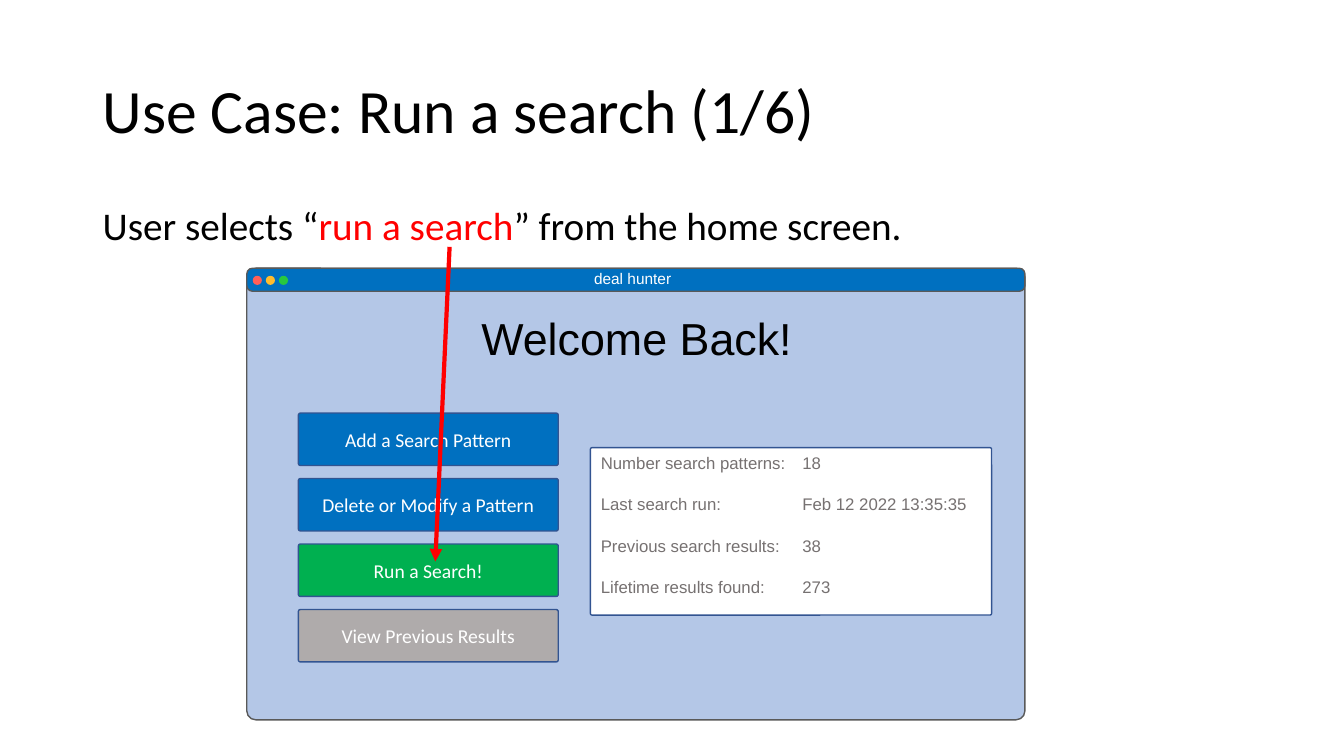
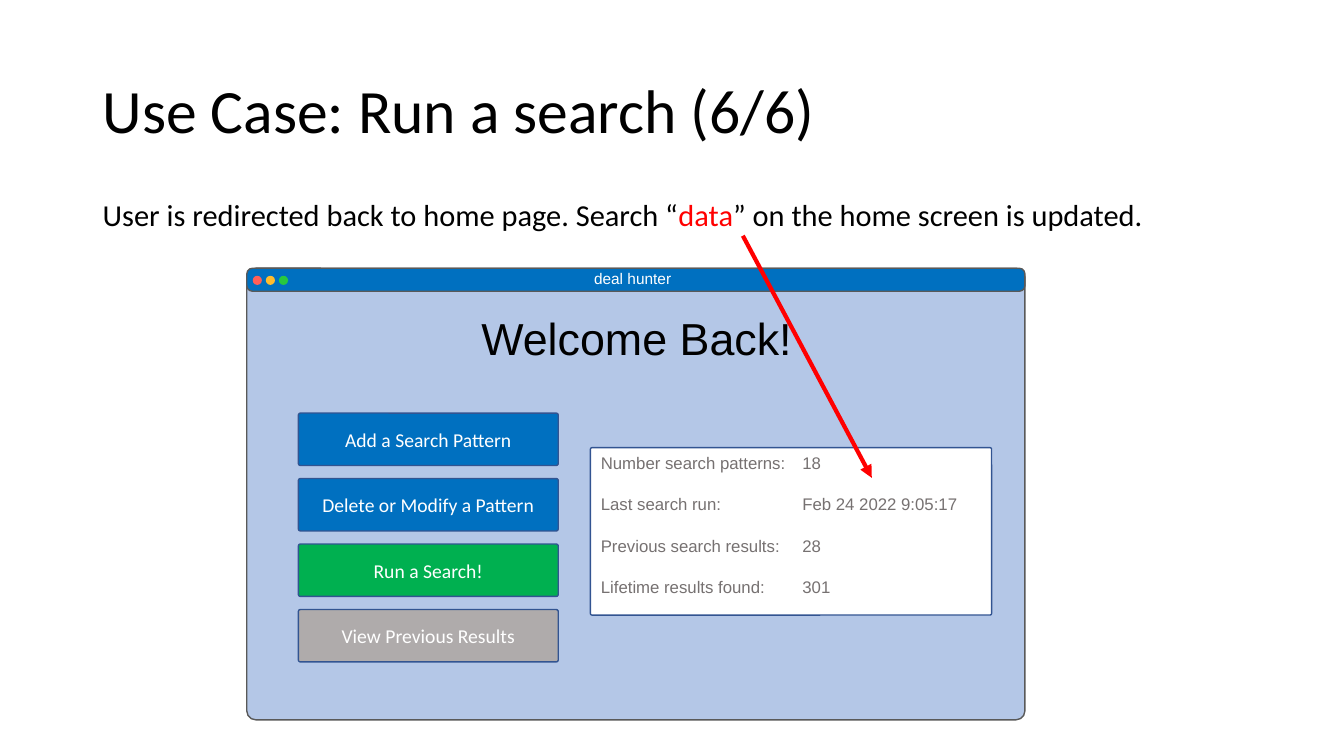
from lxml.etree import SubElement
from pptx import Presentation
from pptx.dml.color import RGBColor
from pptx.enum.shapes import MSO_CONNECTOR, MSO_SHAPE
from pptx.enum.text import MSO_ANCHOR, PP_ALIGN
from pptx.oxml.ns import qn
from pptx.util import Cm, Pt

COLORS = {
    "text": "000000", "white": "FFFFFF", "accent": "FF0000",
    "window": "B4C7E7", "frame": "595959", "blue": "0070C0",
    "green": "00B050", "disabled": "AFABAB", "edge": "325491",
    "stat": "767171", "close": "FF5F57", "minimize": "FFBC2E",
    "zoom": "28C840",
}
FONTS = {
    "title": {"name": "Calibri", "size": Pt(44)},
    "body": {"name": "Calibri", "size": Pt(28)},
    "body_small": {"name": "Calibri", "size": Pt(21.7)},
    "button": {"name": "Calibri", "size": Pt(14)},
    "caption": {"name": "Arial", "size": Pt(11)},
    "heading": {"name": "Arial", "size": Pt(32)},
    "stat": {"name": "Arial", "size": Pt(12)},
}
WINDOW_BOX = (6.22, 6.76, 19.61, 11.38)
BUTTONS = [
    ("Add a Search Pattern", "blue"),
    ("Delete or Modify a Pattern", "blue"),
    ("Run a Search!", "green"),
    ("View Previous Results", "disabled"),
]
STAT_LABELS = ["Number search patterns:", "Last search run:",
               "Previous search results:", "Lifetime results found:"]
SLIDES = [
    {"title": "Use Case: Run a search (1/6)",
     "body": [("User selects “", "text"), ("run a search", "accent"),
              ("” from the home screen.", "text")],
     "font": "body", "spacing": 0.9,
     "stats": ["18", "Feb 12 2022 13:35:35", "38", "273"],
     "arrow": (11.33, 6.22, 10.97, 14.15)},
    {"title": "Use Case: Run a search (6/6)",
     "body": [("User is redirected back to home page. Search “", "text"),
              ("data", "accent"),
              ("” on the home screen is updated.", "text")],
     "font": "body_small", "spacing": 0.7,
     "stats": ["18", "Feb 24 2022 9:05:17", "28", "301"],
     "arrow": (18.72, 5.94, 21.97, 12.04)},
]


def rgb(name):
    """Return the named palette colour."""
    return RGBColor.from_string(COLORS[name])


def apply(obj, formats):
    """Set each format value on an object."""
    for key, value in formats.items():
        setattr(obj, key, value)


def write(p, runs, font, **formats):
    """Fill a paragraph with (text, colour) runs in one font."""
    apply(p, formats)
    for text, color in runs:
        r = p.add_run()
        r.text = text
        apply(r.font, FONTS[font])
        r.font.color.rgb = rgb(color)


def add_box(shapes, kind, box, fill, line=None, radius=None):
    """Add a flat filled shape, outlined when a line colour is given."""
    sp = shapes.add_shape(kind, *map(Cm, box))
    sp.shadow.inherit = False
    sp.fill.solid()
    sp.fill.fore_color.rgb = rgb(fill)
    if line:
        sp.line.color.rgb = rgb(line)
        sp.line.width = Pt(1)
    else:
        sp.line.fill.background()
    if radius is not None:
        sp.adjustments[0] = radius
    return sp


def add_text(shapes, box, runs, font, anchor=MSO_ANCHOR.TOP, wrap=True, **formats):
    """Add a one-paragraph text box."""
    tf = shapes.add_textbox(*map(Cm, box)).text_frame
    apply(tf, {"word_wrap": wrap, "vertical_anchor": anchor})
    write(tf.paragraphs[0], runs, font, **formats)


def add_title_bar(shapes, x, y, w):
    """Draw the window's title bar with its three controls."""
    add_box(shapes, MSO_SHAPE.ROUNDED_RECTANGLE, (x, y, w, 0.58),
            "blue", "frame", 0.25)
    for i, color in enumerate(("close", "minimize", "zoom")):
        add_box(shapes, MSO_SHAPE.OVAL,
                (x + 0.15 + i * 0.33, y + 0.19, 0.23, 0.23), color)
    add_text(shapes, (x + 8.43, y - 0.1, 2.59, 0.74), [("deal hunter", "white")],
             "caption", wrap=False, alignment=PP_ALIGN.CENTER)


def add_buttons(shapes, x, y):
    """Stack the menu buttons from the given corner."""
    for i, (label, color) in enumerate(BUTTONS):
        sp = add_box(shapes, MSO_SHAPE.ROUNDED_RECTANGLE,
                     (x, y + i * 1.65, 6.55, 1.32), color, "edge", 0.04)
        tf = sp.text_frame
        apply(tf, {"word_wrap": True, "vertical_anchor": MSO_ANCHOR.MIDDLE})
        write(tf.paragraphs[0], [(label, "white")], "button",
              alignment=PP_ALIGN.CENTER)


def add_stats(shapes, x, y, values):
    """Draw the statistics panel with values aligned on a tab stop."""
    sp = add_box(shapes, MSO_SHAPE.ROUNDED_RECTANGLE, (x, y, 10.11, 4.22),
                 "white", "edge", 0.01)
    tf = sp.text_frame
    apply(tf, {"word_wrap": True, "vertical_anchor": MSO_ANCHOR.TOP})
    for i, (label, value) in enumerate(zip(STAT_LABELS, values)):
        p = tf.add_paragraph() if i else tf.paragraphs[0]
        write(p, [(f"{label}\t{value}", "stat")], "stat",
              alignment=PP_ALIGN.LEFT, space_after=Pt(15))
        tabs = SubElement(p._p.get_or_add_pPr(), qn("a:tabLst"))
        SubElement(tabs, qn("a:tab"), pos=str(Cm(5.08)), algn="l")


def add_window(s, box, stats):
    """Draw the application's home screen as one group."""
    x, y, w, h = box
    shapes = s.shapes.add_group_shape().shapes
    add_box(shapes, MSO_SHAPE.ROUNDED_RECTANGLE, box, "window", "frame", 0.02)
    add_title_bar(shapes, x, y, w)
    add_text(shapes, (x + 5.62, y + 0.94, 8.41, 1.63), [("Welcome Back!", "text")],
             "heading", wrap=False, alignment=PP_ALIGN.CENTER)
    add_buttons(shapes, x + 1.3, y + 3.65)
    add_stats(shapes, x + 8.66, y + 4.52, stats)


def add_arrow(s, ends):
    """Add a red arrow between two points."""
    line = s.shapes.add_connector(MSO_CONNECTOR.STRAIGHT, *map(Cm, ends))
    line.line.color.rgb = rgb("accent")
    line.line.width = Pt(3)
    SubElement(line.line._get_or_add_ln(), qn("a:tailEnd"), type="triangle")
    SubElement(line._element.spPr, qn("a:effectLst"))


def add_use_case(prs, case):
    """Build one use case slide."""
    s = prs.slides.add_slide(prs.slide_layouts[6])
    add_window(s, WINDOW_BOX, case["stats"])
    add_text(s.shapes, (2.34, 1.02, 29.21, 3.68), [(case["title"], "text")],
             "title", MSO_ANCHOR.MIDDLE, line_spacing=0.9)
    add_text(s.shapes, (2.34, 5.08, 29.21, 1.45), case["body"], case["font"],
             line_spacing=case["spacing"], space_before=Pt(10))
    add_arrow(s, case["arrow"])


def main():
    """Build and save the presentation."""
    prs = Presentation()
    apply(prs, {"slide_width": Cm(33.87), "slide_height": Cm(19.05)})
    for case in SLIDES:
        add_use_case(prs, case)
    prs.save("out.pptx")


if __name__ == "__main__":
    main()
